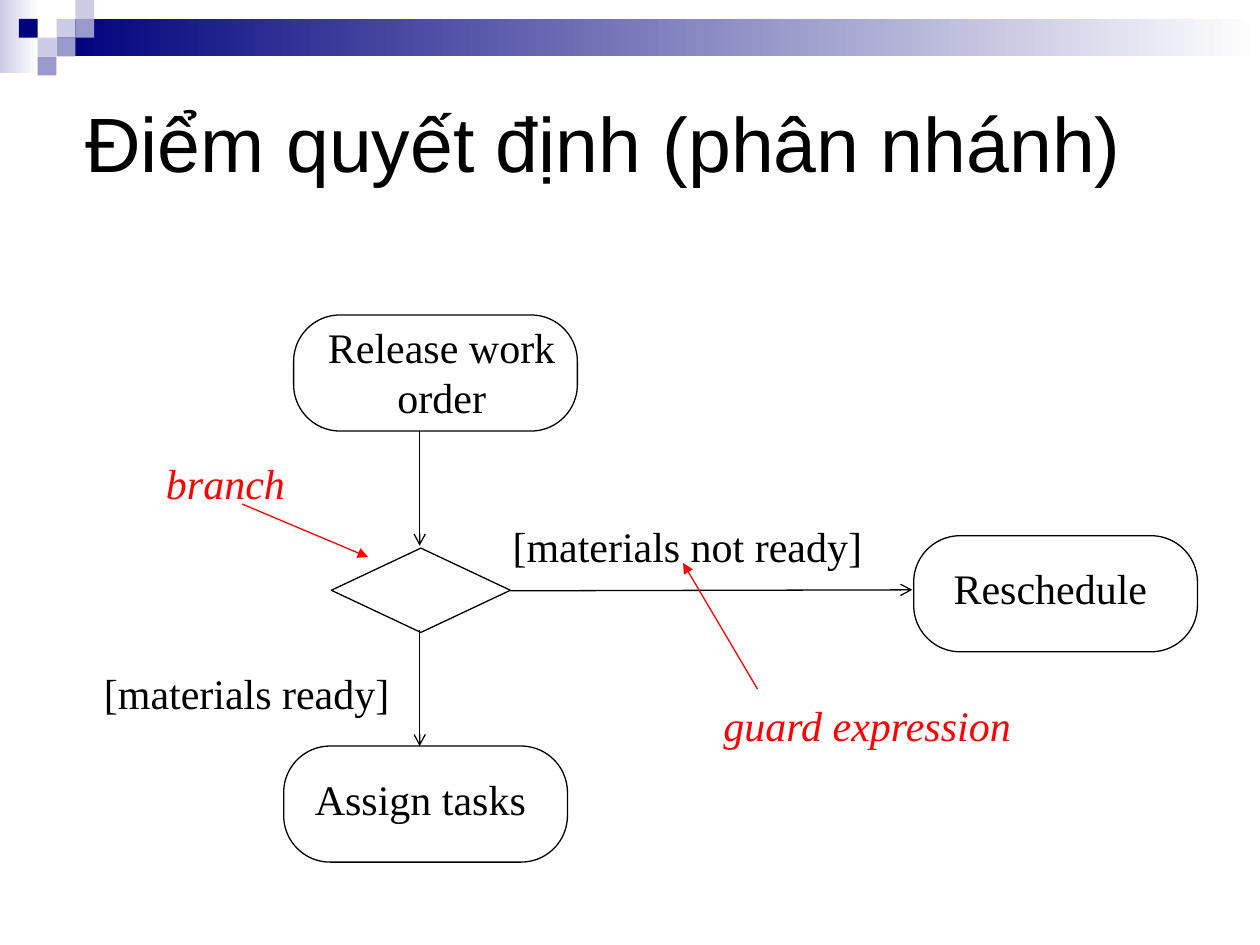
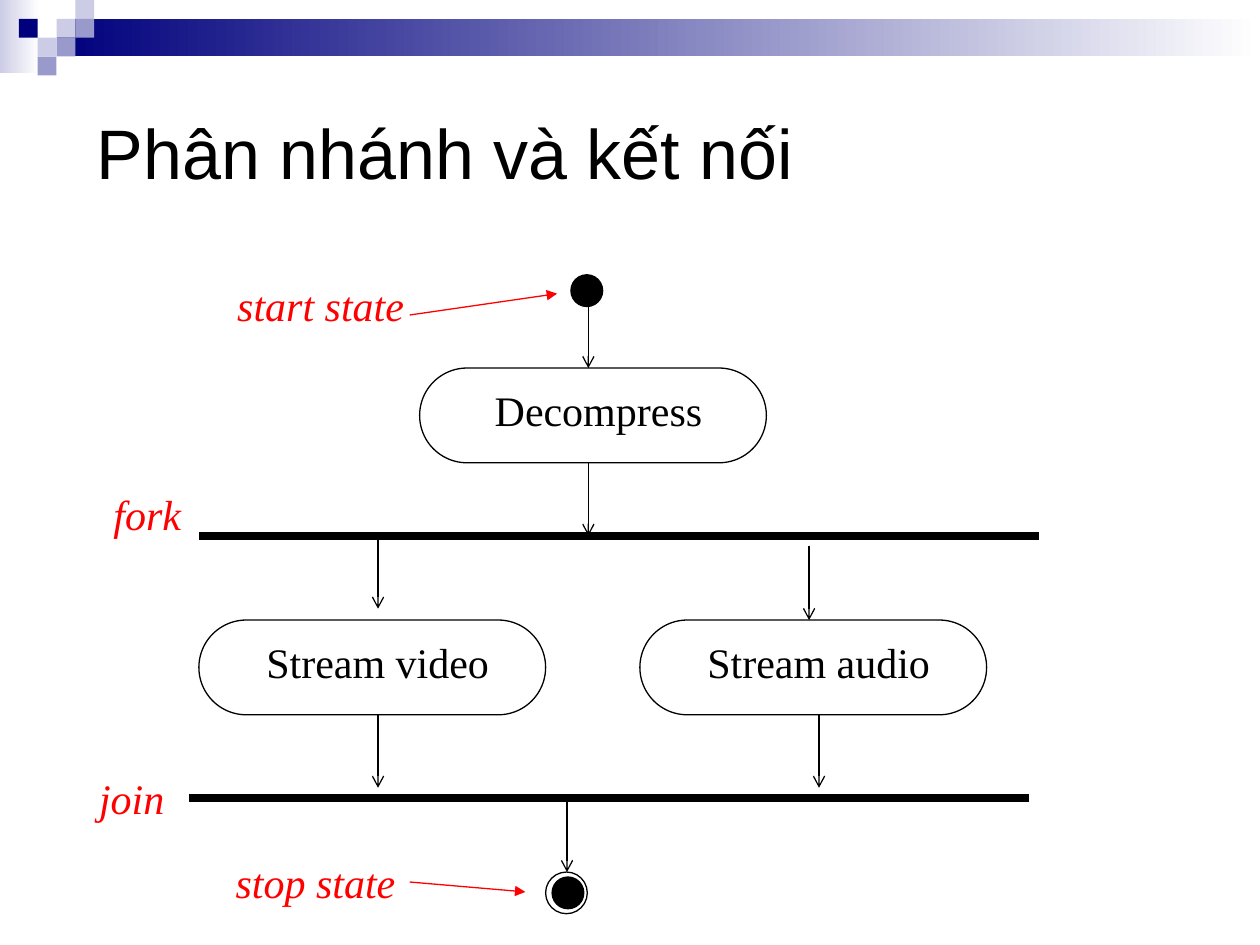
import pptx
import pptx.dml.color
import pptx.enum.shapes
import pptx.enum.text
import pptx.oxml
import pptx.oxml.ns
import pptx.util
from pptx.util import Cm

BLACK, RED, WHITE = "000000", "FF0000", "FFFFFF"
NAVY, MID_BLUE, PALE_BLUE = "00007D", "9999CC", "CCCCE6"
TITLE_FONT, DIAGRAM_FONT = "Arial", "Times New Roman"
SLIDE_WIDTH, SLIDE_HEIGHT = 25.4, 19.05
SQUARE = 0.38
MOSAIC = [(3, 1, PALE_BLUE), (4, 0, PALE_BLUE), (4, 1, MID_BLUE), (2, 2, PALE_BLUE),
          (1, 1, NAVY), (3, 2, MID_BLUE), (2, 3, MID_BLUE)]
LABEL_HEIGHT = 1.27
DOT = 0.64
SHAPE = pptx.enum.shapes.MSO_SHAPE


def rgb(hex_color):
    return pptx.dml.color.RGBColor.from_string(hex_color)


def add_outline(shapes, kind, left, top, width, height, fill=None, line=BLACK):
    """Add a preset shape; None for fill or line leaves that part out."""
    shape = shapes.add_shape(kind, Cm(left), Cm(top), Cm(width), Cm(height))
    shape.shadow.inherit = False
    if fill:
        shape.fill.solid()
        shape.fill.fore_color.rgb = rgb(fill)
    else:
        shape.fill.background()
    if line:
        shape.line.color.rgb = rgb(line)
        shape.line.width = pptx.util.Pt(0.75)
    else:
        shape.line.fill.background()
    return shape


def add_fade(shapes, left, top, width, height, color):
    """Add a band that fades from color on the left to white."""
    band = add_outline(shapes, SHAPE.RECTANGLE, left, top, width, height, line=None)
    band.fill.gradient()
    band.fill.gradient_angle = 0
    for stop, stop_color in zip(band.fill.gradient_stops, (color, WHITE)):
        stop.color.rgb = rgb(stop_color)


def add_header(slide):
    header = slide.shapes.add_group_shape().shapes
    add_fade(header, 0, 0, 0.79, 1.47, PALE_BLUE)
    add_fade(header, 3 * SQUARE, SQUARE, SLIDE_WIDTH - 3 * SQUARE, 2 * SQUARE, NAVY)
    for column, row, color in MOSAIC:
        add_outline(header, SHAPE.RECTANGLE, column * SQUARE, row * SQUARE,
                    SQUARE, SQUARE, fill=color, line=None)


def add_text(shapes, text, left, top, width, height, font, size, color=BLACK, italic=False):
    box = shapes.add_textbox(Cm(left), Cm(top), Cm(width), Cm(height))
    box.text_frame.word_wrap = True
    run = box.text_frame.paragraphs[0].add_run()
    run.text = text
    run.font.name = font
    run.font.size = pptx.util.Pt(size)
    run.font.italic = italic
    run.font.color.rgb = rgb(color)
    return box.text_frame


def add_title(slide, text, left, top, size):
    frame = add_text(slide.shapes, text, left, top, 21.59, 3.18, TITLE_FONT, size)
    frame.vertical_anchor = pptx.enum.text.MSO_ANCHOR.MIDDLE


def add_label(shapes, text, left, top, width, height=LABEL_HEIGHT, color=BLACK, italic=False):
    frame = add_text(shapes, text, left, top, width, height, DIAGRAM_FONT, 24, color, italic)
    frame.auto_size = pptx.enum.text.MSO_AUTO_SIZE.SHAPE_TO_FIT_TEXT
    frame.paragraphs[0].alignment = pptx.enum.text.PP_ALIGN.CENTER
    frame.paragraphs[0].space_before = pptx.util.Pt(15)


def add_line(slide, start, end, color=BLACK, weight=0.75, arrowhead=None):
    connector = slide.shapes.add_connector(
        pptx.enum.shapes.MSO_CONNECTOR.STRAIGHT, *(Cm(value) for value in (*start, *end)))
    connector.line.color.rgb = rgb(color)
    connector.line.width = pptx.util.Pt(weight)
    properties = connector.element.spPr
    if arrowhead:
        tail = pptx.oxml.parse_xml(
            f'<a:tailEnd {pptx.oxml.ns.nsdecls("a")} type="{arrowhead}"/>')
        properties.find(pptx.oxml.ns.qn("a:ln")).append(tail)
    properties.append(pptx.oxml.parse_xml(f'<a:effectLst {pptx.oxml.ns.nsdecls("a")}/>'))


def add_flow(slide, start, end):
    add_line(slide, start, end, arrowhead="arrow")


def add_callout(slide, text, left, top, width, start, end):
    """Add a red note and, with its pointer."""
    add_note(slide, text, left, top, width)
    add_line(slide, start, end, color=RED, arrowhead="triangle")


def add_note(slide, text, left, top, width):
    add_label(slide.shapes, text, left, top, width, color=RED, italic=True)


def add_activity(slide, text, left, top, size, roundness, label_offset, label_size):
    """Add a rounded activity grouped with its label."""
    activity = slide.shapes.add_group_shape().shapes
    outline = add_outline(activity, SHAPE.ROUNDED_RECTANGLE, left, top, *size)
    outline.adjustments[0] = roundness
    add_label(activity, text, left + label_offset[0], top + label_offset[1], *label_size)


def add_slide(deck):
    slide = deck.slides.add_slide(deck.slide_layouts[6])
    add_header(slide)
    return slide


def build_decision(deck):
    slide = add_slide(deck)
    add_title(slide, "Điểm quyết định (phân nhánh)", 1.47, 1.27, 44)

    one_line = ((0, 0.42), (5.51, LABEL_HEIGHT))
    two_lines = ((0.23, 0), (5.51, 2.29))
    for text, left, top, label_place in [
            ("Release work order", 5.92, 6.35, two_lines),
            ("Assign tasks", 5.72, 15.04, one_line),
            ("Reschedule", 18.42, 10.8, one_line)]:
        add_activity(slide, text, left, top, (5.72, 2.34), 0.4, *label_place)
    add_outline(slide.shapes, SHAPE.FLOWCHART_DECISION, 6.68, 11.05, 3.61, 1.7)

    add_flow(slide, (8.46, 8.69), (8.46, 11))
    add_flow(slide, (8.46, 12.7), (8.46, 15.04))
    add_flow(slide, (10.29, 11.91), (18.39, 11.89))
    add_label(slide.shapes, "[materials not ready]", 9.73, 10.36, 8.26)
    add_label(slide.shapes, "[materials ready]", 1.7, 13.34, 6.55)
    add_callout(slide, "guard expression", 13.77, 13.97, 7.42, (15.27, 13.89), (13.77, 11.35))
    add_callout(slide, "branch", 2.54, 9.09, 4.01, (4.88, 10.16), (7.42, 11.23))


def build_fork_and_join(deck):
    slide = add_slide(deck)
    add_title(slide, "Phân nhánh và kết nối", 1.7, 1.47, 40)

    for text, left, top in [("Decompress", 8.46, 7.42),
                            ("Stream audio", 12.9, 12.5),
                            ("Stream video", 4.01, 12.5)]:
        add_activity(slide, text, left, top, (6.99, 1.91), 0.5,
                     (0.43, 0.2), (6.35, LABEL_HEIGHT))

    fork_y, join_y = 10.8, 16.08
    for left, y in [(4.01, fork_y), (3.81, join_y)]:
        add_line(slide, (left, y), (left + 16.94, y), weight=4.5)
    for x, top, bottom in [(11.86, 5.92, 7.42), (11.86, 9.32, fork_y),
                           (7.62, fork_y, 12.27), (16.31, 11, 12.5),
                           (7.62, 14.4, 15.88), (16.51, 14.4, 15.88),
                           (11.43, join_y, 17.58)]:
        add_flow(slide, (x, top), (x, bottom))

    add_outline(slide.shapes, SHAPE.OVAL, 11.51, 5.54, DOT, DOT, fill=BLACK)
    stop_state = slide.shapes.add_group_shape().shapes
    add_outline(stop_state, SHAPE.OVAL, 11.13, 17.68, DOT, DOT, fill=BLACK)
    add_outline(stop_state, SHAPE.OVAL, 11, 17.58, 0.84, 0.84)

    add_note(slide, "fork", 1.7, 9.73, 2.54)
    add_note(slide, "join", 1.7, 15.44, 1.91)
    add_callout(slide, "start state", 4.24, 5.51, 4.45, (8.26, 6.35), (11.23, 5.92))
    add_callout(slide, "stop state", 4.24, 17.15, 4.24, (8.26, 17.78), (10.59, 17.98))


def main():
    deck = pptx.Presentation()
    deck.slide_width, deck.slide_height = Cm(SLIDE_WIDTH), Cm(SLIDE_HEIGHT)
    build_decision(deck)
    build_fork_and_join(deck)
    deck.save("out.pptx")


if __name__ == "__main__":
    main()
